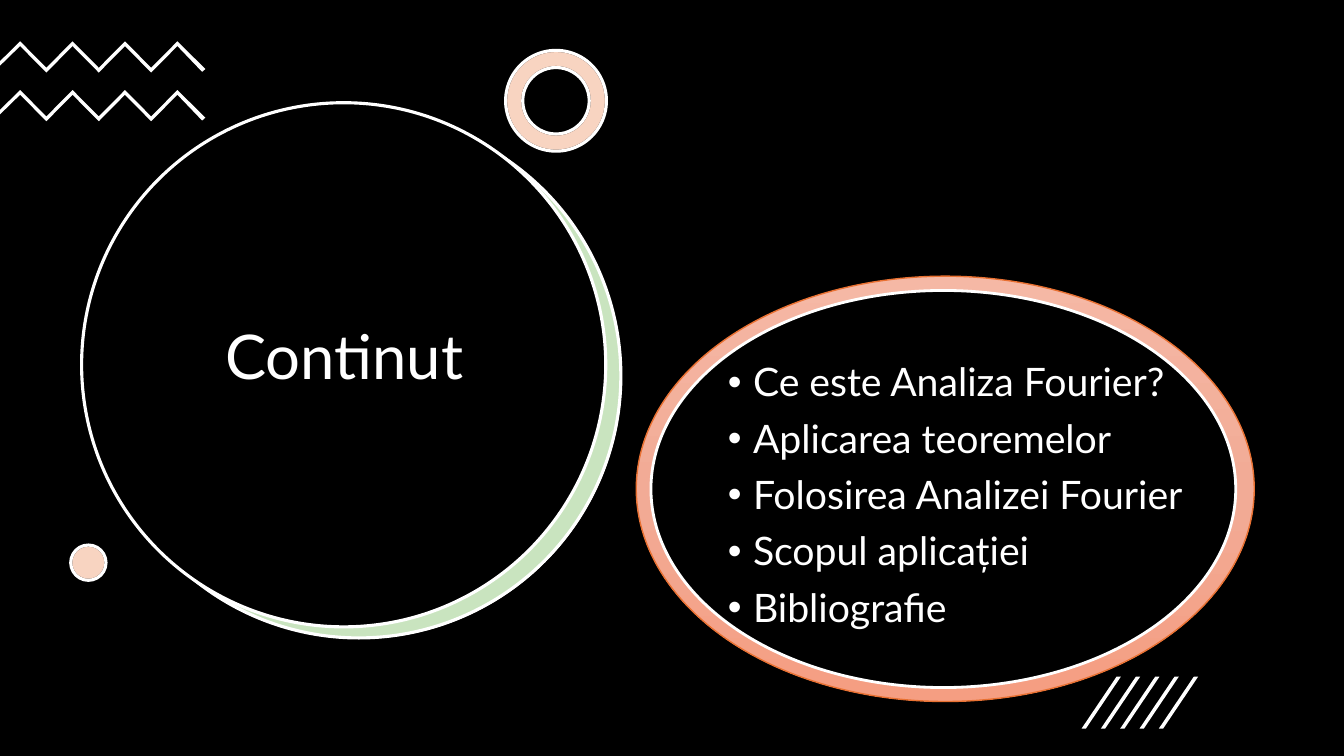
from copy import deepcopy

from lxml.etree import SubElement
from pptx import Presentation
from pptx.dml.color import RGBColor
from pptx.enum.shapes import MSO_SHAPE as SHAPE
from pptx.enum.text import MSO_ANCHOR as ANCHOR, PP_ALIGN as ALIGN
from pptx.oxml.ns import qn
from pptx.util import Pt

WHITE, BLACK, ORANGE, GREEN = "FFFFFF", "000000", "E97132", "4EA72E"
GLOW = [(0, "F5B8A5"), (0.5, "F2AB96"), (1, "F59E82")]
TOPICS = ["Ce este Analiza Fourier?", "Aplicarea teoremelor",
          "Folosirea Analizei Fourier", "Scopul aplicației", "Bibliografie"]


def rgb(color):
    """Turn a hex string into a colour."""
    return RGBColor.from_string(color)


def paint(sp, fill, line=None, width=2.25, alpha=None):
    """Set the fill and outline of a shape and remove its shadow."""
    sp.shadow.inherit = False
    sp.fill.solid()
    sp.fill.fore_color.rgb = rgb(fill)
    if alpha:
        clr = sp._element.spPr.find(qn("a:solidFill")).find(qn("a:srgbClr"))
        SubElement(clr, qn("a:alpha")).set("val", str(alpha * 1000))
    if line:
        sp.line.color.rgb = rgb(line)
        sp.line.width = Pt(width)
    else:
        sp.line.fill.background()
    return sp


def add(s, kind, box, fill, line=None, width=2.25, alpha=None):
    """Add a painted preset shape in a box given in points."""
    sp = s.shapes.add_shape(kind, *map(Pt, box))
    return paint(sp, fill, line, width, alpha)


def tinted(s, kind, box, adjust=None):
    """Add a pale orange shape: a white base under a translucent coat."""
    for fill, line, alpha in ((WHITE, BLACK, None), (ORANGE, WHITE, 30)):
        sp = add(s, kind, box, fill, line, alpha=alpha)
        if adjust:
            sp.adjustments[0] = adjust


def text(s, box, lines, size):
    """Add a text box with one paragraph per line."""
    tf = s.shapes.add_textbox(*map(Pt, box)).text_frame
    tf.word_wrap = True
    tf.text = "\n".join(lines)
    for p in tf.paragraphs:
        p.line_spacing = 0.9
        f = p.runs[0].font
        f.size, f.name, f.color.rgb = Pt(size), "Lato", rgb(WHITE)
    return tf


def title_disc(s, x, y, d):
    """Draw the title circle with its green crescent."""
    add(s, SHAPE.OVAL, (x + 11.5, y + 8.6, d, d), WHITE)
    add(s, SHAPE.OVAL, (x + 10.8, y + 7.9, d, d), GREEN, WHITE, alpha=30)
    add(s, SHAPE.OVAL, (x, y, d, d), BLACK, WHITE)
    tf = text(s, (x + 28.8, y + 56.9, 317.5, 253.4), ["Continut"], 44)
    tf.vertical_anchor = ANCHOR.MIDDLE
    tf.paragraphs[0].alignment = ALIGN.CENTER


def zigzag(s, y):
    """Draw one zigzag band that starts at the left edge."""
    peaks = [(14.4 + 18.72 * i, y + 18.9 * (i % 2)) for i in range(7)]
    lower = [(px, py + 3.4) for px, py in reversed(peaks)]
    tail = [(146.7, y + 19.8), (144.4, y + 21.8)]
    points = peaks + tail + lower + [(0, y + 17.4), (0, y + 14.2)]
    points = [(Pt(px), Pt(py)) for px, py in points]
    fb = s.shapes.build_freeform(*points[0])
    fb.add_line_segments(points[1:])
    paint(fb.convert_to_shape(), WHITE)


def slashes(s, x, y):
    """Draw five evenly spaced slanted strokes."""
    for i in range(5):
        sp = add(s, SHAPE.PARALLELOGRAM, (x + 13.8 * i, y, 28, 37), WHITE)
        sp.adjustments[0] = 0.89


def topic_oval(s, x, y, w, h):
    """Draw the glowing oval with the list of topics."""
    sp = add(s, SHAPE.OVAL, (x, y, w, h), ORANGE, ORANGE, 1)
    sp.fill.gradient()
    sp.fill.gradient_angle = 270
    gs = sp._element.spPr.find(".//" + qn("a:gs"))
    gs.addnext(deepcopy(gs))
    for stop, (pos, color) in zip(sp.fill.gradient_stops, GLOW):
        stop.position = pos
        stop.color.rgb = rgb(color)
    add(s, SHAPE.OVAL, (x + 10.5, y + 10.2, w - 23.7, h - 20.2), BLACK, WHITE, 2)
    tf = text(s, (x + 58.3, y + 58.3, 411, 225.4), TOPICS, 28)
    for p in tf.paragraphs:
        p.space_before = Pt(10)
        pr = p._p.get_or_add_pPr()
        pr.set("marL", str(Pt(18)))
        pr.set("indent", str(-Pt(18)))
        SubElement(pr, qn("a:buFont")).set("typeface", "Arial")
        SubElement(pr, qn("a:buChar")).set("char", "•")


def contents_slide(prs):
    """Build the contents slide."""
    s = prs.slides.add_slide(prs.slide_layouts[6])
    add(s, SHAPE.RECTANGLE, (0, 0, 960, 540), BLACK)
    title_disc(s, 58.3, 73.4, 374.4)
    for y in (29.5, 64.3):
        zigzag(s, y)
    tinted(s, SHAPE.DONUT, (361.2, 36, 72, 72), 0.17)
    tinted(s, SHAPE.OVAL, (50.5, 389.3, 25.2, 25.2))
    slashes(s, 772.6, 483.4)
    topic_oval(s, 454.5, 197.3, 441.4, 303.8)


def main():
    """Create and save the presentation."""
    prs = Presentation()
    prs.slide_width, prs.slide_height = Pt(960), Pt(540)
    contents_slide(prs)
    prs.save("out.pptx")


if __name__ == "__main__":
    main()
